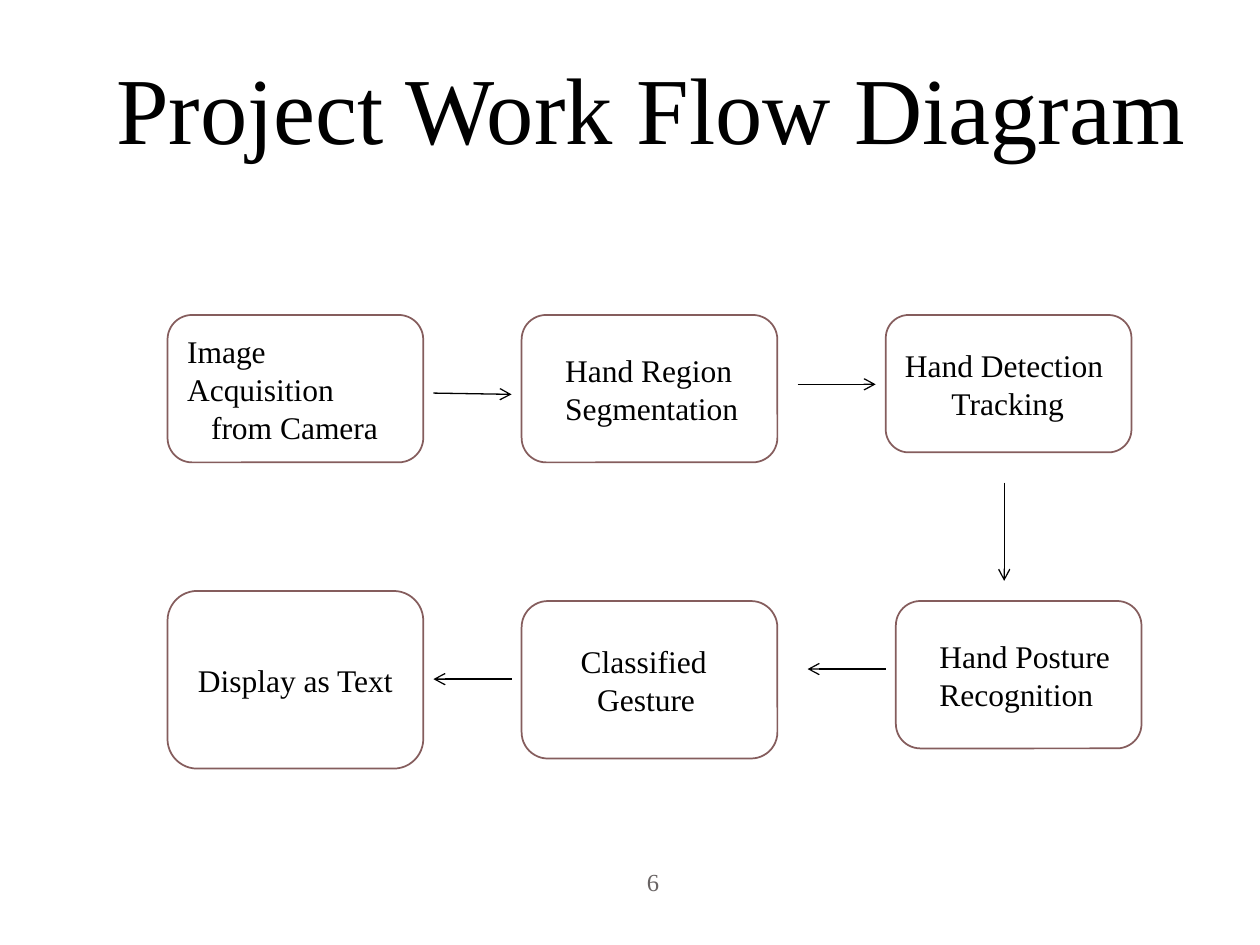
from pptx import Presentation
from pptx import util as u
from pptx.dml.color import RGBColor
from pptx.enum import shapes, text
from pptx.oxml.ns import qn
from lxml import etree

FONT = "Times New Roman"
BLACK, WHITE, BROWN, GREY = "000000", "FFFFFF", "855D5D", "696464"
LEFT, CENTER, RIGHT = text.PP_ALIGN.LEFT, text.PP_ALIGN.CENTER, text.PP_ALIGN.RIGHT

# box (left, top, width, height), alignment, lines as (wording, indent)
STEPS = [
    ((1.33, 2.5, 2.03, 1.17), LEFT, [("Image Acquisition", 0), ("from Camera", 0.19)]),
    ((4.14, 2.5, 2.03, 1.17), LEFT, [("Hand Region", 0.19), ("Segmentation", 0.19)]),
    ((7.03, 2.5, 1.95, 1.09), LEFT, [("Hand Detection", 0), ("Tracking", 0.37)]),
    ((7.11, 4.77, 1.95, 1.17), LEFT, [("Hand Posture", 0.19), ("Recognition", 0.19)]),
    ((4.14, 4.77, 2.03, 1.25), LEFT, [("Classified", 0.31), ("Gesture", 0.44)]),
    ((1.33, 4.69, 2.03, 1.41), CENTER, [("Display as Text", 0)]),
]
ARROWS = [
    ((3.44, 3.12), (4.06, 3.13)),
    ((6.33, 3.05), (6.95, 3.05)),
    ((7.97, 3.83), (7.97, 4.61)),
    ((7.03, 5.31), (6.41, 5.31)),
    ((4.06, 5.39), (3.44, 5.39)),
]


def color(value):
    return RGBColor.from_string(value)


def inches(values):
    return [u.Inches(value) for value in values]


def write(para, wording, size, align, ink=BLACK, indent=0):
    para.alignment = align
    if indent:
        para._p.get_or_add_pPr().set("marL", str(u.Inches(indent)))
    span = para.add_run()
    span.text = wording
    span.font.name = FONT
    span.font.size = u.Pt(size)
    span.font.color.rgb = color(ink)


def place_title(page, box, wording):
    title = page.shapes.title
    title.left, title.top, title.width, title.height = inches(box)
    frame = title.text_frame
    frame.auto_size = text.MSO_AUTO_SIZE.NONE
    frame.vertical_anchor = text.MSO_ANCHOR.MIDDLE
    frame.margin_top, frame.margin_bottom = inches((0.05, 0.1))
    write(frame.paragraphs[0], wording, 54, CENTER)


def add_step(page, box, align, lines):
    step = page.shapes.add_shape(shapes.MSO_SHAPE.ROUNDED_RECTANGLE, *inches(box))
    step.shadow.inherit = False
    step.fill.solid()
    step.fill.fore_color.rgb = color(WHITE)
    step.line.color.rgb = color(BROWN)
    step.line.width = u.Pt(1)
    frame = step.text_frame
    frame.word_wrap = True
    frame.vertical_anchor = text.MSO_ANCHOR.MIDDLE
    for number, (wording, indent) in enumerate(lines):
        para = frame.add_paragraph() if number else frame.paragraphs[0]
        write(para, wording, 18, align, indent=indent)


def add_arrow(page, start, end):
    arrow = page.shapes.add_connector(
        shapes.MSO_CONNECTOR.STRAIGHT, *inches(start + end))
    arrow.line.color.rgb = color(BLACK)
    arrow.line.width = u.Pt(0.75)
    etree.SubElement(arrow.line._get_or_add_ln(), qn("a:tailEnd"), type="arrow")
    etree.SubElement(arrow._element.spPr, qn("a:effectLst"))


def add_page_number(page, box, number):
    frame = page.shapes.add_textbox(*inches(box)).text_frame
    frame.word_wrap = True
    frame.vertical_anchor = text.MSO_ANCHOR.MIDDLE
    write(frame.paragraphs[0], number, 14, RIGHT, GREY)


def main():
    deck = Presentation()
    deck.slide_width, deck.slide_height = inches((10, 7.5))
    page = deck.slides.add_slide(deck.slide_layouts[5])
    place_title(page, (0.75, 0.25, 8.83, 1.25), "Project Work Flow Diagram")
    add_page_number(page, (1, 6.75, 4.33, 0.5), "6")
    for box, align, lines in STEPS:
        add_step(page, box, align, lines)
    for start, end in ARROWS:
        add_arrow(page, start, end)
    deck.save("out.pptx")


if __name__ == "__main__":
    main()
